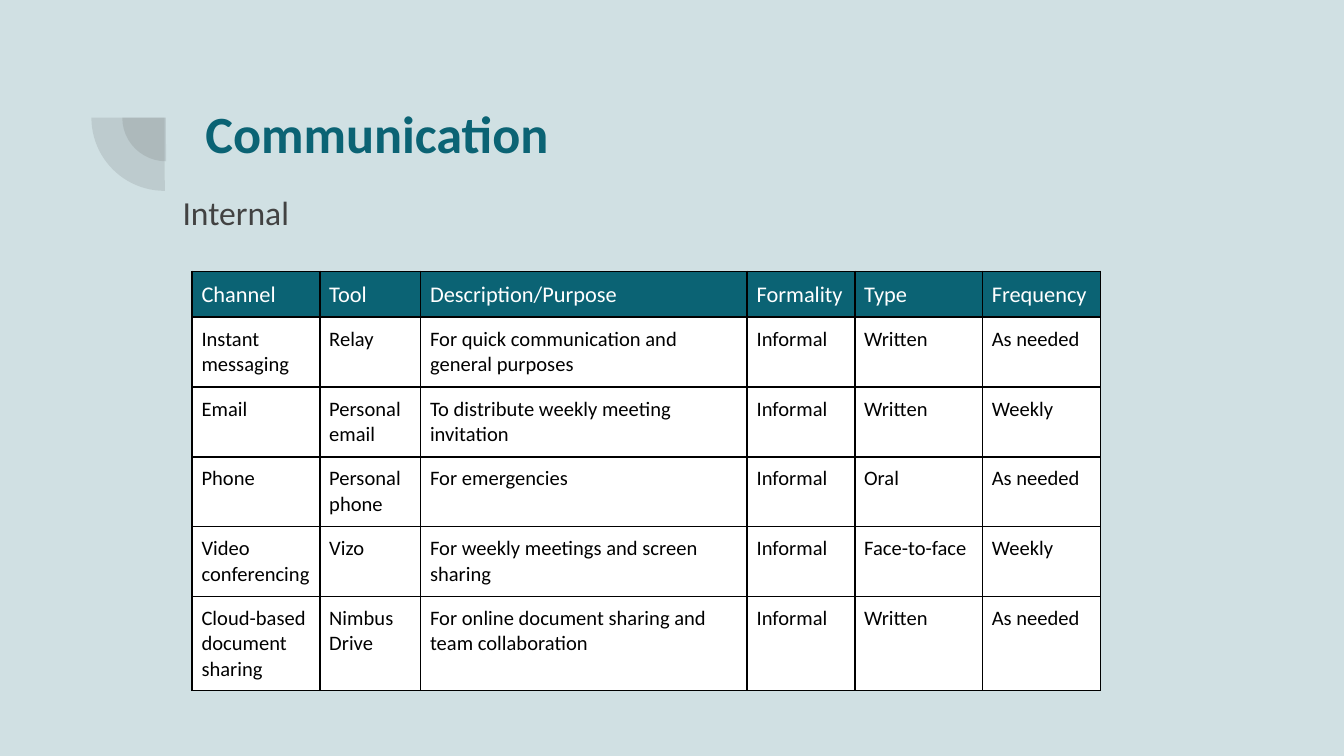
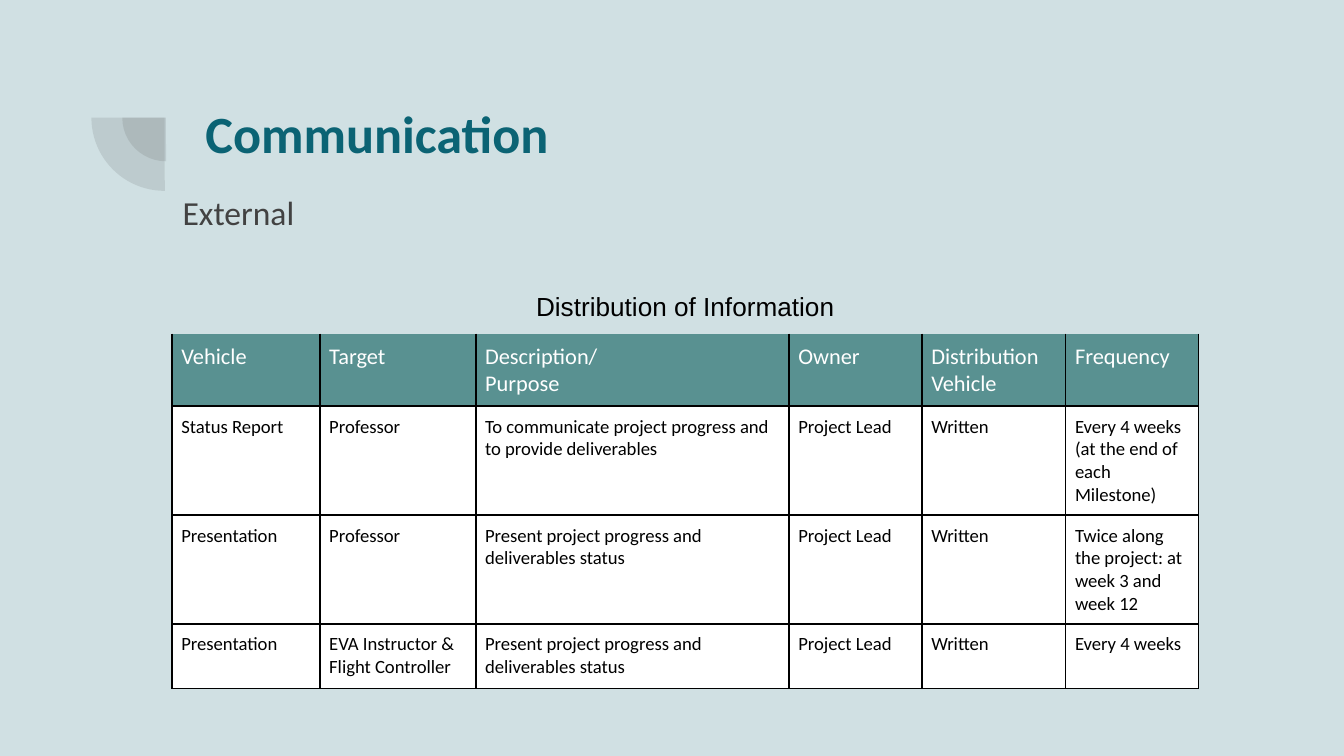
import dataclasses

import lxml.etree
import pptx
import pptx.dml.color
import pptx.enum.shapes
import pptx.enum.text
import pptx.oxml
import pptx.oxml.ns
import pptx.util

Inches = pptx.util.Inches
BACKGROUND, TEAL, SAGE = "D0E0E3", "0B6374", "599191"
GREY, BLACK, WHITE = "424242", "000000", "FFFFFF"
FONT, CAPTION_FONT = "Calibri", "Arial"
SIDES = "LRTB"
WIDTH = 10


@dataclasses.dataclass(frozen=True)
class TextStyle:
    """Look of a run of text."""

    size: int
    color: str
    font: str = FONT
    bold: bool = False


@dataclasses.dataclass(frozen=True)
class Channels:
    """One slide: its subtitle and the table below it."""

    subtitle: str
    left: float
    top: float
    widths: list[float]
    heights: list[float]
    header_fill: str
    body_size: int
    header: list[str]
    rows: list[list[str]]
    caption: str = ""


TITLE = TextStyle(28, TEAL, bold=True)
SUBTITLE = TextStyle(18, GREY)
HEADER = TextStyle(12, WHITE)
CAPTION = TextStyle(14, BLACK, CAPTION_FONT)

SLIDES = [
    Channels(
        subtitle="Internal",
        left=1.43,
        top=2.02,
        widths=[0.95, 0.75, 2.43, 0.8, 0.95, 0.88],
        heights=[0.34, 0.52, 0.52, 0.52, 0.52, 0.7],
        header_fill=TEAL,
        body_size=11,
        header=["Channel", "Tool", "Description/Purpose", "Formality", "Type", "Frequency"],
        rows=[
            ["Instant messaging", "Relay", "For quick communication and general purposes",
             "Informal", "Written", "As needed"],
            ["Email", "Personal email", "To distribute weekly meeting invitation",
             "Informal", "Written", "Weekly"],
            ["Phone", "Personal phone", "For emergencies", "Informal", "Oral", "As needed"],
            ["Video conferencing", "Vizo", "For weekly meetings and screen sharing",
             "Informal", "Face-to-face", "Weekly"],
            ["Cloud-based document sharing", "Nimbus Drive",
             "For online document sharing and team collaboration",
             "Informal", "Written", "As needed"],
        ],
    ),
    Channels(
        subtitle="External",
        left=1.28,
        top=2.11,
        widths=[1.1, 1.16, 2.33, 0.99, 1.07, 0.99],
        heights=[0.36, 0.54, 0.81, 0.81, 0.48],
        header_fill=SAGE,
        body_size=10,
        header=["Vehicle", "Target", "Description/\nPurpose", "Owner",
                "Distribution\nVehicle", "Frequency"],
        rows=[
            ["Status Report", "Professor",
             "To communicate project progress and to provide deliverables",
             "Project Lead", "Written", "Every 4 weeks (at the end of each Milestone)"],
            ["Presentation", "Professor", "Present project progress and deliverables status",
             "Project Lead", "Written", "Twice along the project: at week 3 and week 12"],
            ["Presentation", "EVA Instructor & Flight Controller",
             "Present project progress and deliverables status",
             "Project Lead", "Written", "Every 4 weeks"],
        ],
        caption="Distribution of Information",
    ),
]


def rgb(color: str) -> pptx.dml.color.RGBColor:
    """Turn a hex string into a colour."""
    return pptx.dml.color.RGBColor.from_string(color)


def set_margins(box, inset: float) -> None:
    """Give a text frame or a cell equal margins."""
    box.margin_left = box.margin_right = Inches(inset)
    box.margin_top = box.margin_bottom = Inches(inset)


def write(tf, text: str, style: TextStyle) -> None:
    """Fill a text frame with one paragraph per line."""
    for i, line in enumerate(text.split("\n")):
        p = tf.add_paragraph() if i else tf.paragraphs[0]
        r = p.add_run()
        r.text = line
        r.font.size = pptx.util.Pt(style.size)
        r.font.name = style.font
        r.font.bold = style.bold
        r.font.color.rgb = rgb(style.color)


def add_text(s, left: float, top: float, height: float, text: str, style: TextStyle) -> None:
    """Add a wide text box."""
    sp = s.shapes.add_textbox(Inches(left), Inches(top), Inches(7.69), Inches(height))
    tf = sp.text_frame
    tf.word_wrap = True
    set_margins(tf, 0.1)
    write(tf, text, style)


def add_quarter(s, left: float, top: float, size: float) -> None:
    """Add a translucent quarter disc."""
    sp = s.shapes.add_shape(pptx.enum.shapes.MSO_SHAPE.PIE, Inches(left), Inches(top),
                            Inches(size), Inches(size))
    sp.adjustments[0], sp.adjustments[1] = 107.93, 162
    sp.rotation = 270
    sp.shadow.inherit = False
    sp.line.fill.background()
    sp.fill.solid()
    sp.fill.fore_color.rgb = rgb(GREY)
    color = sp._element.spPr.find(".//" + pptx.oxml.ns.qn("a:srgbClr"))
    lxml.etree.SubElement(color, pptx.oxml.ns.qn("a:alpha"), val="13000")


def set_borders(cell, drawn: str) -> None:
    """Draw the named sides of a cell in black and clear the others."""
    tcPr = cell._tc.get_or_add_tcPr()
    for side in SIDES:
        ln = lxml.etree.SubElement(tcPr, pptx.oxml.ns.qn(f"a:ln{side}"), w="12700")
        if side in drawn:
            fill = lxml.etree.SubElement(ln, pptx.oxml.ns.qn("a:solidFill"))
            lxml.etree.SubElement(fill, pptx.oxml.ns.qn("a:srgbClr"), val=BLACK)
        else:
            lxml.etree.SubElement(ln, pptx.oxml.ns.qn("a:noFill"))


def fill_cell(cell, text: str, style: TextStyle, fill: str, borders: str) -> None:
    """Set the text, fill and borders of a cell."""
    set_borders(cell, borders)
    cell.fill.solid()
    cell.fill.fore_color.rgb = rgb(fill)
    set_margins(cell, 0.07)
    write(cell.text_frame, text, style)


def add_caption(table, text: str) -> None:
    """Merge the first row into a plain centred caption."""
    cells = table.rows[0].cells
    cells[0].merge(cells[len(table.columns) - 1])
    for cell in cells:
        set_borders(cell, "")
        cell.fill.background()
        set_margins(cell, 0.07)
    write(cells[0].text_frame, text, CAPTION)
    cells[0].text_frame.paragraphs[0].alignment = pptx.enum.text.PP_ALIGN.CENTER


def add_channel_table(s, c: Channels) -> None:
    """Add the table of communication channels."""
    table = s.shapes.add_table(
        len(c.heights), len(c.widths), Inches(c.left), Inches(c.top),
        Inches(sum(c.widths)), Inches(sum(c.heights))).table
    table.first_row = table.horz_banding = False
    for column, width in zip(table.columns, c.widths):
        column.width = Inches(width)
    for row, height in zip(table.rows, c.heights):
        row.height = Inches(height)
    first = 1 if c.caption else 0
    if c.caption:
        add_caption(table, c.caption)
    body = TextStyle(c.body_size, BLACK)
    for i, texts in enumerate([c.header] + c.rows):
        style, fill = (body, WHITE) if i else (HEADER, c.header_fill)
        borders = "LRB" if c.caption and i == 0 else SIDES
        for j, text in enumerate(texts):
            fill_cell(table.cell(first + i, j), text, style, fill, borders)


def add_channel_slide(prs, c: Channels) -> None:
    """Add one communication slide."""
    s = prs.slides.add_slide(prs.slide_layouts[6])
    add_quarter(s, 0.91, 0.55, 0.65)
    add_quarter(s, 0.68, 0.33, 1.09)
    add_text(s, 1.43, 0.65, 1.09, "Communication", TITLE)
    add_text(s, 1.26, 1.33, 0.58, c.subtitle, SUBTITLE)
    add_channel_table(s, c)


def main() -> None:
    """Build the presentation."""
    prs = pptx.Presentation()
    prs.slide_width, prs.slide_height = Inches(WIDTH), Inches(WIDTH * 9 / 16)
    background = prs.slide_master.background.fill
    background.solid()
    background.fore_color.rgb = rgb(BACKGROUND)
    for c in SLIDES:
        add_channel_slide(prs, c)
    prs.save("out.pptx")


if __name__ == "__main__":
    main()
